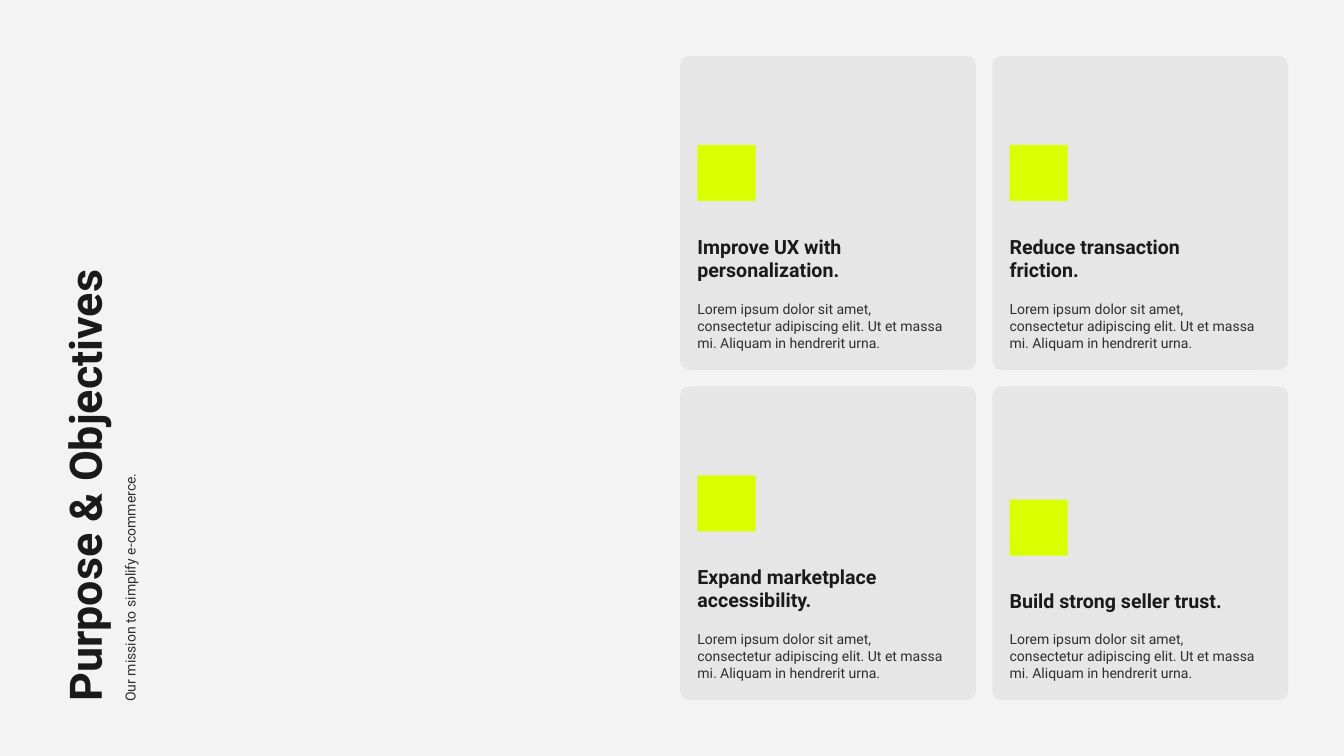
import pptx
import pptx.util
import pptx.dml.color
import pptx.enum.shapes
import pptx.enum.text
from lxml import etree
from pptx.oxml.ns import qn

Cm = pptx.util.Cm
SHAPE = pptx.enum.shapes.MSO_SHAPE

# Content
FONT = "Roboto"
COLORS = {"back": "F3F3F3", "card": "000000", "accent": "D9FF00",
          "heading": "1A1A1A", "body": "2E2E2E"}
# text, size, centre of the upright line, length, thickness
SIDE_TEXTS = [
    ("Purpose & Objectives", 48, "heading", 3.19, 18.62, 2.31),
    ("Our mission to simplify e-commerce.", 15, "body", 4.92, 9.83, 0.89),
]
BODY = ["Lorem ipsum dolor sit amet,",
        "consectetur adipiscing elit. Ut et massa",
        "mi. Aliquam in hendrerit urna."]
# heading lines and box width, row by row
CARDS = [
    (["Improve UX with", "personalization."], 7.52),
    (["Reduce transaction", "friction."], 8.66),
    (["Expand marketplace", "accessibility."], 9.07),
    (["Build strong seller trust."], 9.12),
]

# Layout in cm
CARD_LEFT, CARD_TOP, CARD_W, CARD_H = 25.71, 2.12, 11.18, 11.86
STEP_X, STEP_Y = 11.8, 12.49
TEXT_DX, HEADING_DY, BODY_DY = 0.4, 6.62, 9.12
SQUARE_DX, SQUARE_DY, SQUARE_W, SQUARE_H = 0.65, 3.36, 2.2, 2.12
HEADING_LINE = 0.92
SIDE_BOTTOM = 26.78


def rgb(name):
    return pptx.dml.color.RGBColor.from_string(COLORS[name])


def add_block(s, kind, x, y, w, h, color):
    sp = s.shapes.add_shape(kind, Cm(x), Cm(y), Cm(w), Cm(h))
    sp.shadow.inherit = False
    sp.fill.solid()
    sp.fill.fore_color.rgb = rgb(color)
    sp.line.fill.background()
    return sp


def add_text(s, lines, x, y, w, h, size, color):
    sp = s.shapes.add_textbox(Cm(x), Cm(y), Cm(w), Cm(h))
    tf = sp.text_frame
    tf.word_wrap = True
    tf.vertical_anchor = pptx.enum.text.MSO_ANCHOR.TOP
    for i, line in enumerate(lines):
        p = tf.add_paragraph() if i else tf.paragraphs[0]
        r = p.add_run()
        r.text = line
        r.font.name = FONT
        r.font.size = pptx.util.Pt(size)
        r.font.bold = color == "heading"
        r.font.color.rgb = rgb(color)
    return sp


def add_card(s, x, y, heading, heading_w):
    # Faint rounded panel
    card = add_block(s, SHAPE.ROUNDED_RECTANGLE, x, y, CARD_W, CARD_H, "card")
    card.adjustments[0] = 0.03
    fill = card._element.spPr.find(qn("a:solidFill"))
    etree.SubElement(fill[0], qn("a:alpha"), val="5000")

    # A one-line heading moves down by a line, together with its square
    drop = (2 - len(heading)) * HEADING_LINE
    add_block(s, SHAPE.RECTANGLE, x + SQUARE_DX, y + SQUARE_DY + drop,
              SQUARE_W, SQUARE_H, "accent")
    add_text(s, heading, x + TEXT_DX, y + HEADING_DY + drop,
             heading_w, 2.06 - drop, 21, "heading")
    add_text(s, BODY, x + TEXT_DX, y + BODY_DY, 11.4, 2.18, 15, "body")


def main():
    prs = pptx.Presentation()
    prs.slide_width, prs.slide_height = Cm(50.8), Cm(28.58)
    s = prs.slides.add_slide(prs.slide_layouts[6])
    s.background.fill.solid()
    s.background.fill.fore_color.rgb = rgb("back")

    # Upright title and subtitle, turned about their centres
    for text, size, color, center, length, thick in SIDE_TEXTS:
        sp = add_text(s, [text], center - length / 2,
                      SIDE_BOTTOM - length / 2 - thick / 2,
                      length, thick, size, color)
        sp.rotation = 270

    # Two by two grid of cards
    for i, (heading, heading_w) in enumerate(CARDS):
        row, col = divmod(i, 2)
        add_card(s, CARD_LEFT + col * STEP_X, CARD_TOP + row * STEP_Y,
                 heading, heading_w)

    prs.save("out.pptx")


if __name__ == "__main__":
    main()
